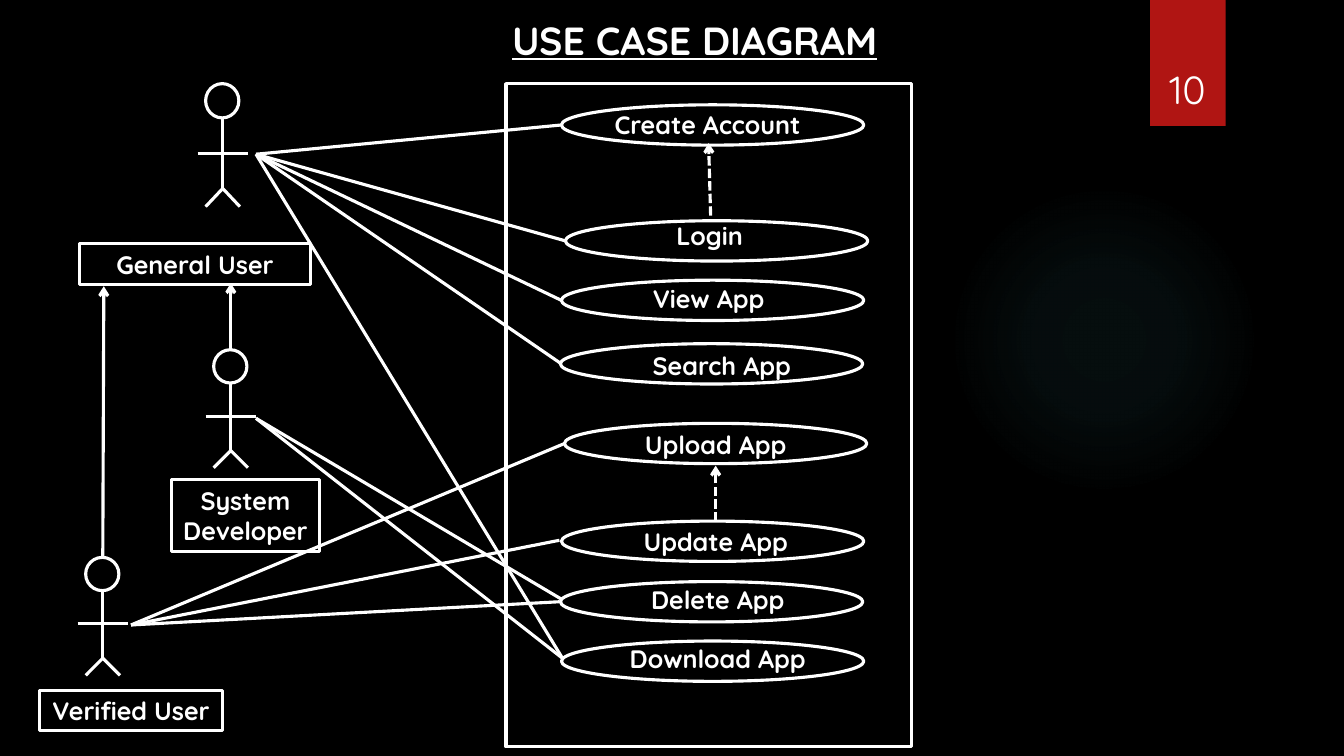
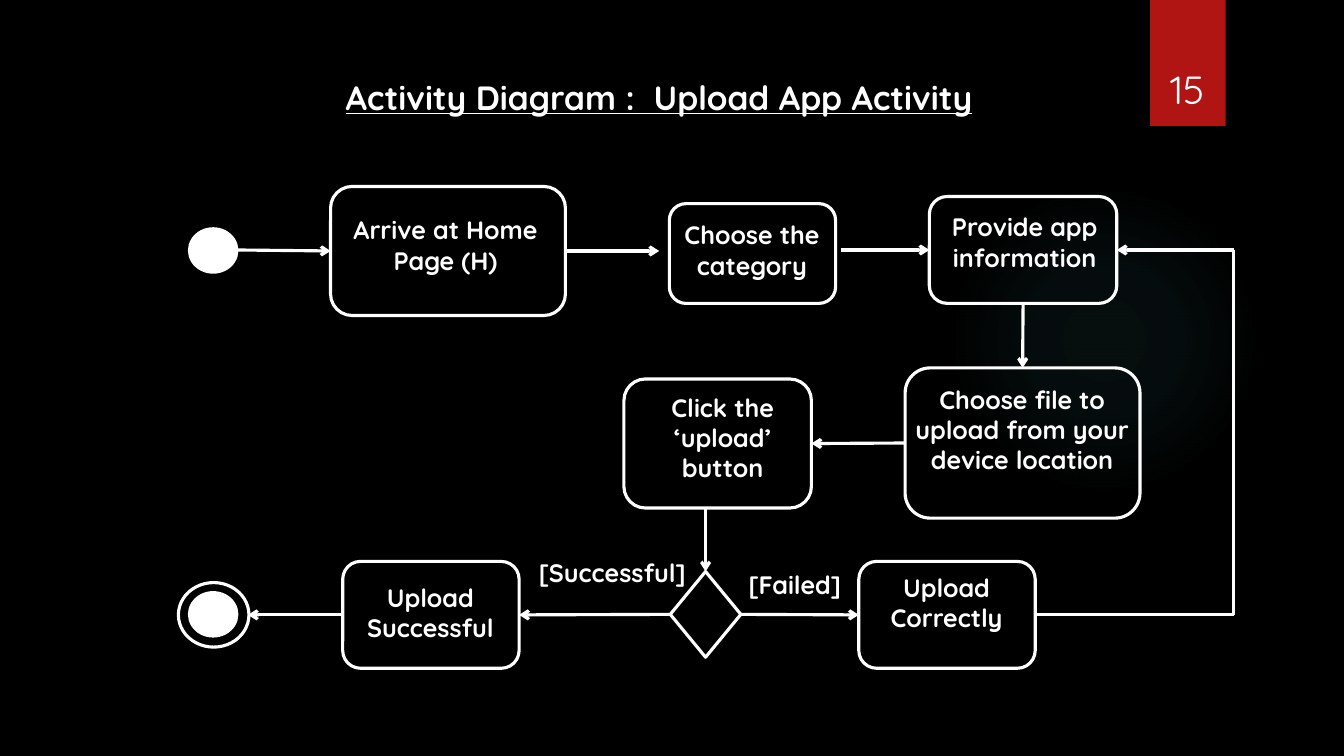
import pptx
import pptx.dml.color
import pptx.enum.dml
import pptx.enum.shapes
import pptx.enum.text
import pptx.oxml
import pptx.oxml.ns
import pptx.util

PX = 9144  # EMU per px, 100 px to the inch
FONT = "Quicksand"
HUES = {"back": "000000", "ink": "FFFFFF", "badge": "B01513", "glow": "50B9C1"}
KIND = pptx.enum.shapes.MSO_SHAPE
ALIGN = pptx.enum.text.PP_ALIGN
ANCHOR = pptx.enum.text.MSO_ANCHOR
TOP, LEFT, BOTTOM, RIGHT = range(4)


def hue(name):
    return pptx.dml.color.RGBColor.from_string(HUES[name])


def scale(*sizes):
    return [size * PX for size in sizes]


class Deck:
    """Holds the style and the current slide."""

    def __init__(self):
        self.file = pptx.Presentation()
        self.file.slide_width, self.file.slide_height = 12192000, 6858000
        fill = self.file.slide_master.background.fill
        fill.solid()
        fill.fore_color.rgb = hue("back")
        self.slide = None

    def start(self, title, area, size, number):
        """Add a slide with its glow, badge, number and title."""
        self.slide = self.file.slides.add_slide(self.file.slide_layouts[5])
        self.glow(941, 183, 308)
        self.shape(KIND.RECTANGLE, 1141, 0, 75, 125, fill="badge", edge=None)
        self.text(str(number), 1132, 32, 92, 84, size=28, bold=False,
                  anchor=ANCHOR.BOTTOM)
        head = self.slide.shapes.title
        head.left, head.top, head.width, head.height = scale(*area)
        self.label(head, title, size, align=ALIGN.LEFT)
        head.text_frame.paragraphs[0].font.underline = True

    def label(self, shape, text, size=18, bold=True, align=ALIGN.CENTER,
              anchor=ANCHOR.TOP):
        frame = shape.text_frame
        frame.text = text
        frame.word_wrap = True
        frame.auto_size = pptx.enum.text.MSO_AUTO_SIZE.NONE
        frame.vertical_anchor = anchor
        para = frame.paragraphs[0]
        para.alignment = align
        font = para.font
        font.name, font.size, font.bold = FONT, pptx.util.Pt(size), bold
        font.color.rgb = hue("ink")

    def text(self, text, x, y, w, h, **style):
        box = self.slide.shapes.add_textbox(*scale(x, y, w, h))
        self.label(box, text, **style)

    def shape(self, kind, x, y, w, h, fill=None, edge="ink"):
        shape = self.slide.shapes.add_shape(kind, *scale(x, y, w, h))
        shape.shadow.inherit = False
        if fill:
            shape.fill.solid()
            shape.fill.fore_color.rgb = hue(fill)
        else:
            shape.fill.background()
        if edge:
            shape.line.color.rgb = hue(edge)
            shape.line.width = pptx.util.Pt(2.25)
        else:
            shape.line.fill.background()
        return shape

    def glow(self, x, y, size):
        """Draw a round, nearly clear gradient."""
        shape = self.shape(KIND.OVAL, x, y, size, size, edge=None)
        stops = "".join(
            f'<a:gs pos="{pos * 1000}"><a:srgbClr val="{HUES["glow"]}">'
            f'<a:alpha val="{alpha * 1000}"/></a:srgbClr></a:gs>'
            for pos, alpha in ((0, 7), (36, 6), (69, 0)))
        grad = pptx.oxml.parse_xml(
            f'<a:gradFill {pptx.oxml.ns.nsdecls("a")}><a:gsLst>{stops}</a:gsLst>'
            '<a:path path="circle"><a:fillToRect l="50000" t="50000" '
            'r="50000" b="50000"/></a:path></a:gradFill>')
        props = shape._element.spPr
        props.replace(props.find(pptx.oxml.ns.qn("a:noFill")), grad)

    def line(self, start, end, arrow=False, dash=False):
        """Draw a line; each end is a point or a (shape, side) pair."""
        joins = [not isinstance(tip[0], int) for tip in (start, end)]
        spots = [(0, 0) if join else tip
                 for join, tip in zip(joins, (start, end))]
        link = self.slide.shapes.add_connector(
            pptx.enum.shapes.MSO_CONNECTOR.STRAIGHT, *scale(*spots[0], *spots[1]))
        if joins[0]:
            link.begin_connect(*start)
        if joins[1]:
            link.end_connect(*end)
        link.line.color.rgb = hue("ink")
        link.line.width = pptx.util.Pt(2.25)
        if dash:
            link.line.dash_style = pptx.enum.dml.MSO_LINE.SQUARE_DOT
        space = pptx.oxml.ns.nsdecls("a")
        if arrow:
            link.get_or_add_ln().append(
                pptx.oxml.parse_xml(f'<a:tailEnd {space} type="arrow"/>'))
        link._element.spPr.append(pptx.oxml.parse_xml(f"<a:effectLst {space}/>"))

    def arrow(self, start, end, dash=False):
        self.line(start, end, arrow=True, dash=dash)

    def actor(self, x, y, size=100):
        """Draw a stick figure; size is the height from head to hips."""
        neck, arms, feet = [y + round(size * part) for part in (.33, .66, 1.17)]
        hips = y + size
        self.shape(KIND.OVAL, x - 17, y, 33, neck - y)
        self.line((x, neck), (x, hips))
        self.line((x - 25, arms), (x + 25, arms))
        for side in (-17, 17):
            self.line((x, hips), (x + side, feet))

    def role(self, text, x, y, w, h):
        box = self.shape(KIND.RECTANGLE, x, y, w, h)
        self.label(box, text, anchor=ANCHOR.MIDDLE)

    def step(self, area, text, place):
        """Draw a rounded box and the text that lies over it."""
        box = self.shape(KIND.ROUNDED_RECTANGLE, *area)
        self.text(text, *place)
        return box


def cases(deck):
    deck.start("USE CASE DIAGRAM", (498, 11, 469, 57), 28, 10)
    deck.shape(KIND.RECTANGLE, 502, 83, 402, 658)

    # Use cases: oval left and top, label left and top
    for name, x, y, left, top in (
            ("Create Account", 557, 104, 548, 104),
            ("Login", 561, 219, 550, 214),
            ("View App", 557, 278, 549, 276),
            ("Search App", 556, 341, 562, 343),
            ("Upload App", 560, 420, 556, 421),
            ("Update App", 557, 517, 556, 517),
            ("Delete App", 556, 577, 558, 575),
            ("Download App", 557, 636, 558, 633)):
        deck.shape(KIND.OVAL, x, y, 300, 40)
        deck.text(name, left, top, 308, 40)

    # Actors and their roles
    deck.actor(221, 83, 104)
    deck.actor(229, 347)
    deck.actor(102, 553)
    deck.role("General User", 79, 242, 229, 40)
    deck.role("System Developer", 170, 476, 147, 71)
    deck.role("Verified User", 39, 685, 182, 40)
    deck.arrow((229, 347), (229, 281))
    deck.arrow((102, 553), (103, 284))

    # Links from each hand to its use cases
    for hand, ends in (
            ((254, 153), ((557, 124), (561, 239), (557, 298), (557, 361),
                          (558, 653))),
            ((254, 415), ((558, 595), (558, 653))),
            ((130, 620), ((560, 440), (555, 536), (555, 597)))):
        for end in ends:
            deck.line(hand, end)
    deck.arrow((705, 214), (703, 142), dash=True)
    deck.arrow((710, 517), (710, 462), dash=True)


def upload(deck):
    deck.start("Activity Diagram :  Upload App Activity",
               (333, 71, 734, 50), 24, 15)

    # Start and end marks
    for y in (227, 588):
        deck.shape(KIND.OVAL, 188, y, 47, 43, fill="ink")
    deck.shape(KIND.OVAL, 177, 578, 70, 64)

    # Steps
    home = deck.step((328, 185, 233, 128), "Arrive at Home Page (H)",
                     (337, 208, 210, 129))
    deck.step((664, 202, 165, 99), "Choose the category", (647, 213, 198, 90))
    facts = deck.step((922, 195, 186, 106), "Provide app information",
                      (889, 205, 255, 90))
    pick = deck.step((898, 365, 233, 149),
                     "Choose file to upload from your device location",
                     (887, 376, 254, 167))
    click = deck.step((619, 376, 186, 128), "Click the ‘upload’ button",
                      (640, 384, 154, 129))
    done = deck.step((340, 557, 175, 106), "Upload Successful",
                     (328, 573, 198, 90))
    redo = deck.step((852, 557, 175, 106), "Upload Correctly",
                     (840, 563, 198, 90))

    # Decision and its outcomes
    test = deck.shape(KIND.DIAMOND, 665, 567, 70, 85)
    deck.text("[Successful]", 491, 548, 233, 52)
    deck.text("[Failed]", 706, 560, 165, 52)

    # Flow
    for start, end in (
            ((235, 248), (home, LEFT)),
            ((home, RIGHT), (654, 249)),
            ((834, 248), (facts, LEFT)),
            ((facts, BOTTOM), (pick, TOP)),
            ((pick, LEFT), (click, RIGHT)),
            ((700, 504), (test, TOP)),
            ((test, LEFT), (done, RIGHT)),
            ((test, RIGHT), (redo, LEFT)),
            ((done, LEFT), (246, 610)),
            ((1224, 248), (facts, RIGHT))):
        deck.arrow(start, end)
    deck.line((redo, RIGHT), (1224, 610))
    deck.line((1224, 610), (1224, 248))


def main():
    deck = Deck()
    cases(deck)
    upload(deck)
    deck.file.save("out.pptx")


if __name__ == "__main__":
    main()
